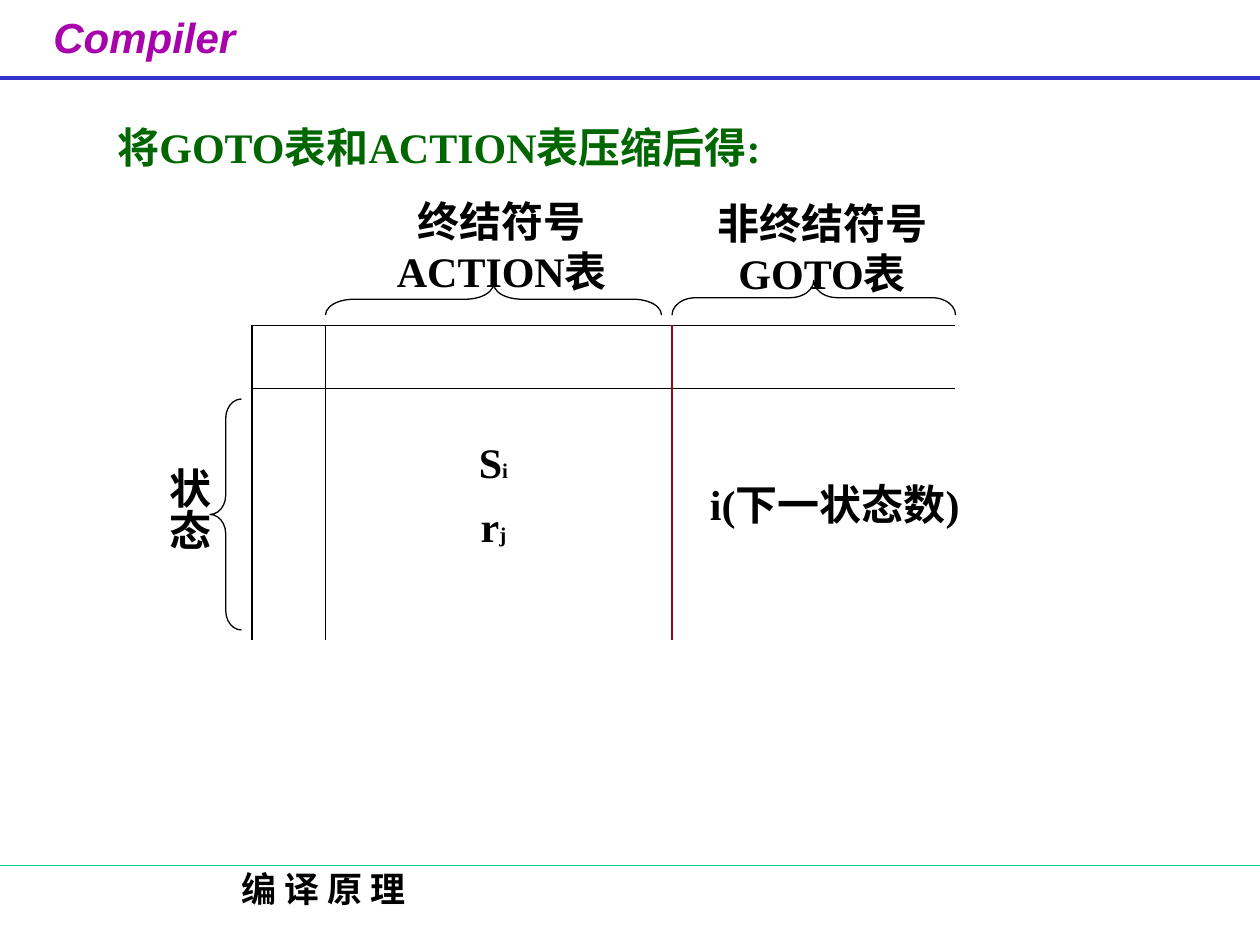
import pptx
import pptx.util
import pptx.dml.color
import pptx.enum.shapes
import pptx.enum.text
import pptx.oxml.ns
import lxml.etree

COLUMNS, ROWS = 120, 90
CELL = pptx.util.Inches(10) // COLUMNS
COLORS = {
    "ink": "000000",
    "brand": "A603AB",
    "header": "3333CC",
    "footer": "00CC99",
    "heading": "006600",
    "divider": "A50021",
}
SERIF, SANS = "Times New Roman", "Arial"
ALIGN = pptx.enum.text.PP_ALIGN
ANCHOR = pptx.enum.text.MSO_ANCHOR


def grid(*cells):
    """Convert grid cells to lengths."""
    return [pptx.util.Emu(round(cell * CELL)) for cell in cells]


def color(name):
    """Look up a colour by its role."""
    return pptx.dml.color.RGBColor.from_string(COLORS[name])


def add_rule(slide, start, end, ink="ink", width=0.75):
    """Draw a straight line between two grid points."""
    rule = slide.shapes.add_connector(
        pptx.enum.shapes.MSO_CONNECTOR.STRAIGHT, *grid(*start, *end))
    rule.line.color.rgb = color(ink)
    rule.line.width = pptx.util.Pt(width)
    lxml.etree.SubElement(rule._element.spPr, pptx.oxml.ns.qn("a:effectLst"))


def add_text(slide, box, paragraphs, ink="ink", font=SERIF, align=ALIGN.CENTER,
             anchor=ANCHOR.TOP, wrap=True, gap=0, italic=False):
    """Write paragraphs of (text, size) runs in a grid box."""
    frame = slide.shapes.add_textbox(*grid(*box)).text_frame
    frame.word_wrap = wrap
    frame.vertical_anchor = anchor
    for index, runs in enumerate(paragraphs):
        paragraph = frame.paragraphs[0] if index == 0 else frame.add_paragraph()
        paragraph.alignment = align
        if index:
            paragraph.space_before = pptx.util.Pt(gap)
        for text, size in runs:
            run = paragraph.add_run()
            run.text = text
            run.font.name = font
            run.font.size = pptx.util.Pt(size)
            run.font.bold = True
            run.font.italic = italic
            run.font.color.rgb = color(ink)
    return frame


def add_brace(slide, box, upright=True):
    """Fit a brace in a grid box, opening right if upright and down if not."""
    left, top, width, height = box
    depth, length = (width, height) if upright else (height, width)
    brace = slide.shapes.add_shape(
        pptx.enum.shapes.MSO_SHAPE.LEFT_BRACE,
        *grid(left + (width - depth) / 2, top + (height - length) / 2, depth, length))
    brace.rotation = 0 if upright else 90
    brace.adjustments[0] = length / 12 / depth
    brace.shadow.inherit = False
    brace.fill.background()
    brace.line.color.rgb = color("ink")
    brace.line.width = pptx.util.Pt(0.75)


def add_header(slide, box):
    """Place the course name over the header rule."""
    left, top, width, height = box
    add_text(slide, (left + 3.9, top + 0.5, 22.9, height), [[("Compiler", 24)]],
             "brand", SANS, ALIGN.LEFT, wrap=False, italic=True)
    add_rule(slide, (left, top + height), (left + width, top + height), "header", 2.25)


def add_footer(slide, box):
    """Place the footer rule with the subject name below it."""
    left, top, width, height = box
    add_rule(slide, (left, top), (left + width, top), "footer")
    add_text(slide, (left + 6, top - 0.44, 49.7, height), [[("编 译 原 理", 20)]])


def add_column_label(slide, box, text, label_width, depth):
    """Place a column label above a brace that spans the column."""
    left, top, width, height = box
    add_brace(slide, (left, top + height - depth, width, depth), upright=False)
    add_text(slide, (left + (width - label_width) / 2 + 0.8, top, label_width, 10.8),
             [[(text, 24)]])


def add_state_label(slide, box):
    """Place the vertical state label beside its brace."""
    left, top, width, height = box
    add_brace(slide, (left + width - 3, top, 3, height))
    frame = add_text(slide, (left, top + 5.3, 7.2, 13), [[("状态", 24)]])
    frame.margin_left, frame.margin_right = grid(0.6, 0.6)
    frame.margin_top, frame.margin_bottom = grid(1.2, 1.2)
    frame._txBody.bodyPr.set("vert", "eaVert")


def add_parse_table(slide, box):
    """Draw the open ruled parse table and its entries."""
    left, top, width, height = box
    for row in (0, 6):
        add_rule(slide, (left, top + row), (left + width, top + row))
    for column, ink in ((0, "ink"), (7, "ink"), (40, "divider")):
        add_rule(slide, (left + column, top), (left + column, top + height), ink)
    add_text(slide, (left + 14, top + 10, 18, 12.1),
             [[("S", 24), ("i", 12)], [("r", 24), ("j", 12)]], gap=7.5)
    add_text(slide, (left + 40.5, top + 14, 30, 6), [[("i(下一状态数)", 24)]],
             anchor=ANCHOR.MIDDLE, wrap=False)


def main():
    """Build and save the slide."""
    deck = pptx.Presentation()
    deck.slide_width, deck.slide_height = grid(COLUMNS, ROWS)
    slide = deck.slides.add_slide(deck.slide_layouts[6])
    add_header(slide, (0, 0, COLUMNS, 7.4))
    add_footer(slide, (0, 82.44, COLUMNS, 6))
    add_text(slide, (10, 10, 72, 8), [[("将GOTO表和ACTION表压缩后得:", 24)]],
             "heading", align=ALIGN.LEFT, anchor=ANCHOR.MIDDLE, wrap=False)
    add_state_label(slide, (13.8, 38, 9.2, 22))
    add_column_label(slide, (31, 18, 32, 12), "终结符号ACTION表", 27.6, 3)
    add_column_label(slide, (64, 18.2, 27, 11.8), "非终结符号GOTO表", 23.3, 3.3)
    add_parse_table(slide, (24, 31, 67, 30))
    deck.save("out.pptx")


if __name__ == "__main__":
    main()
